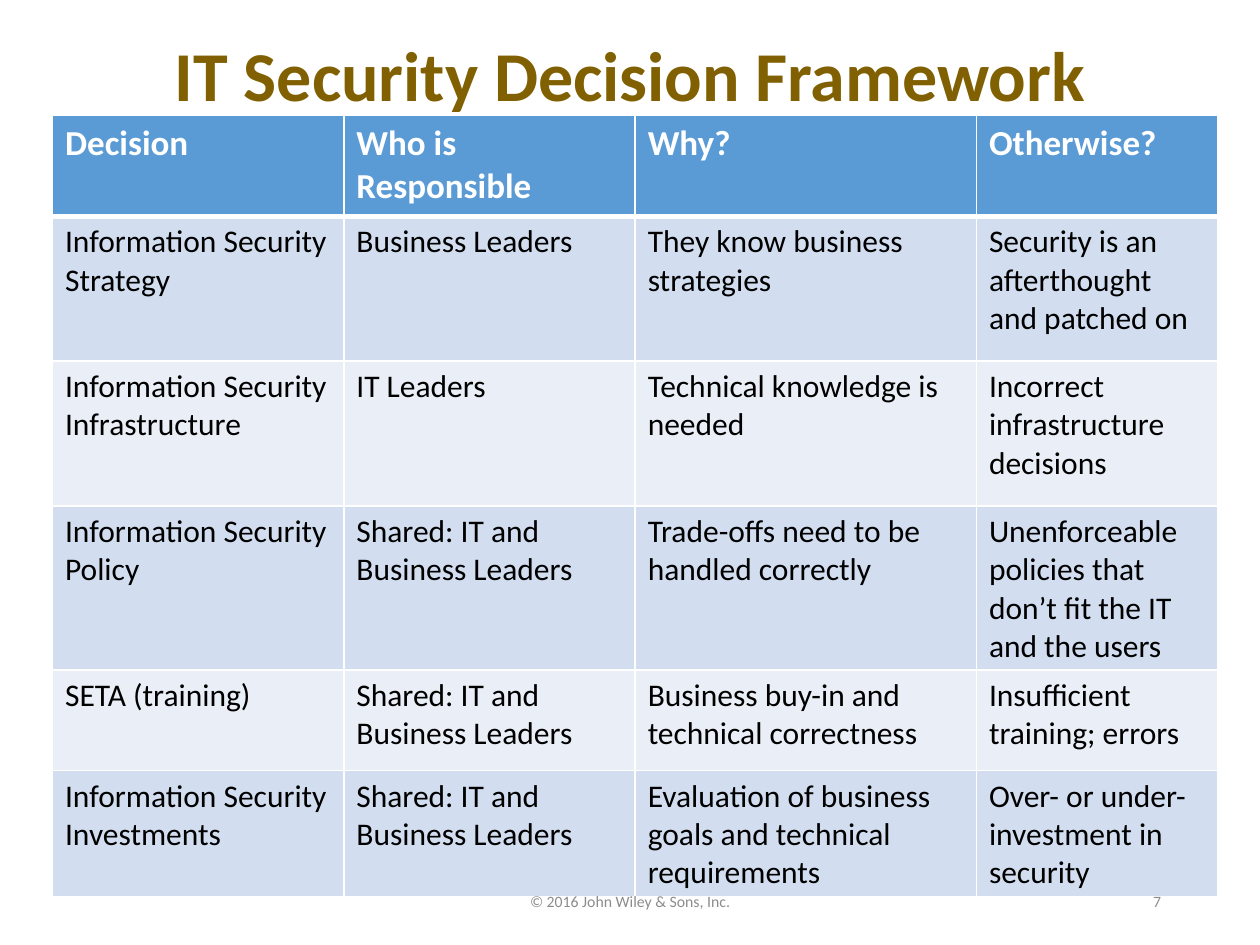
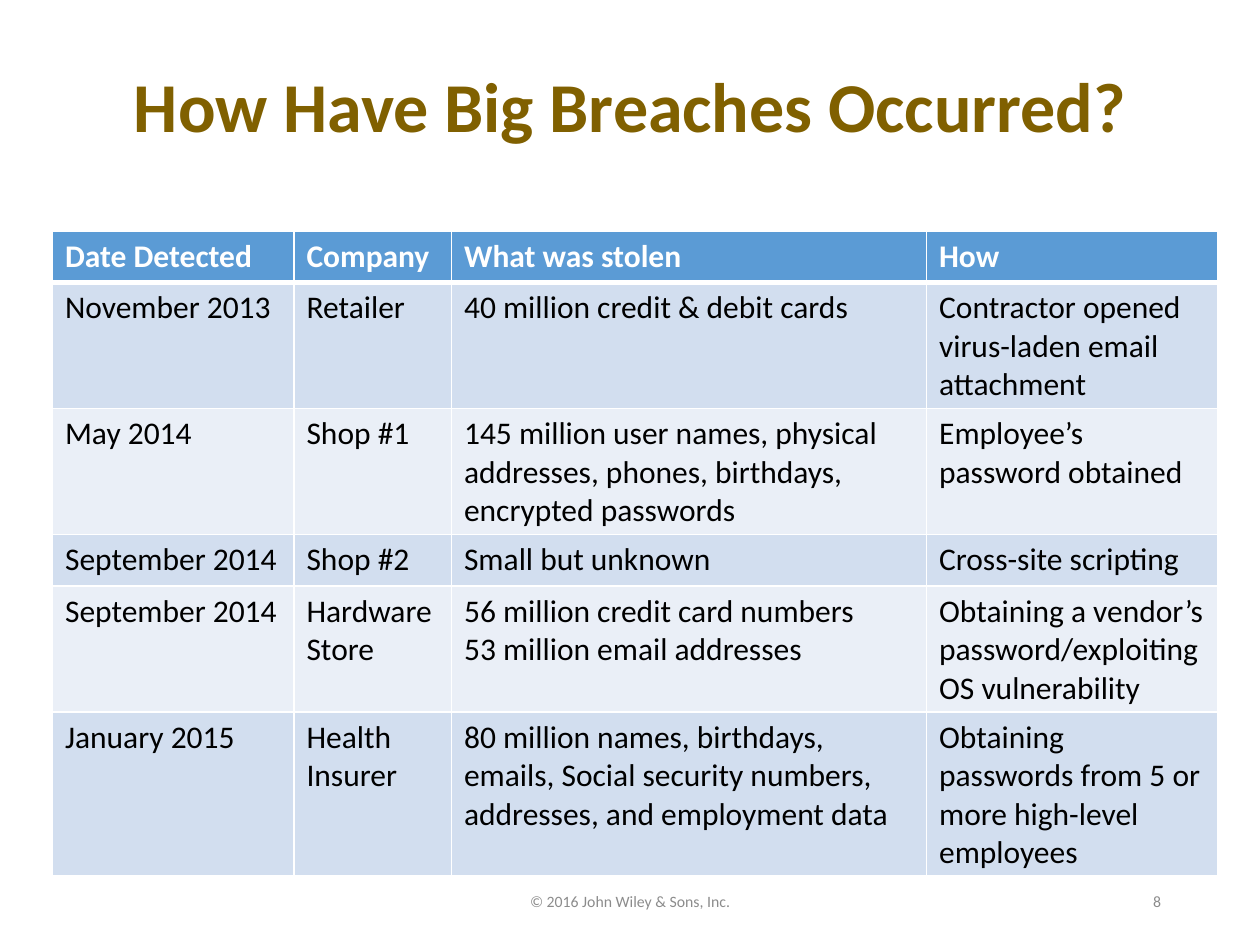
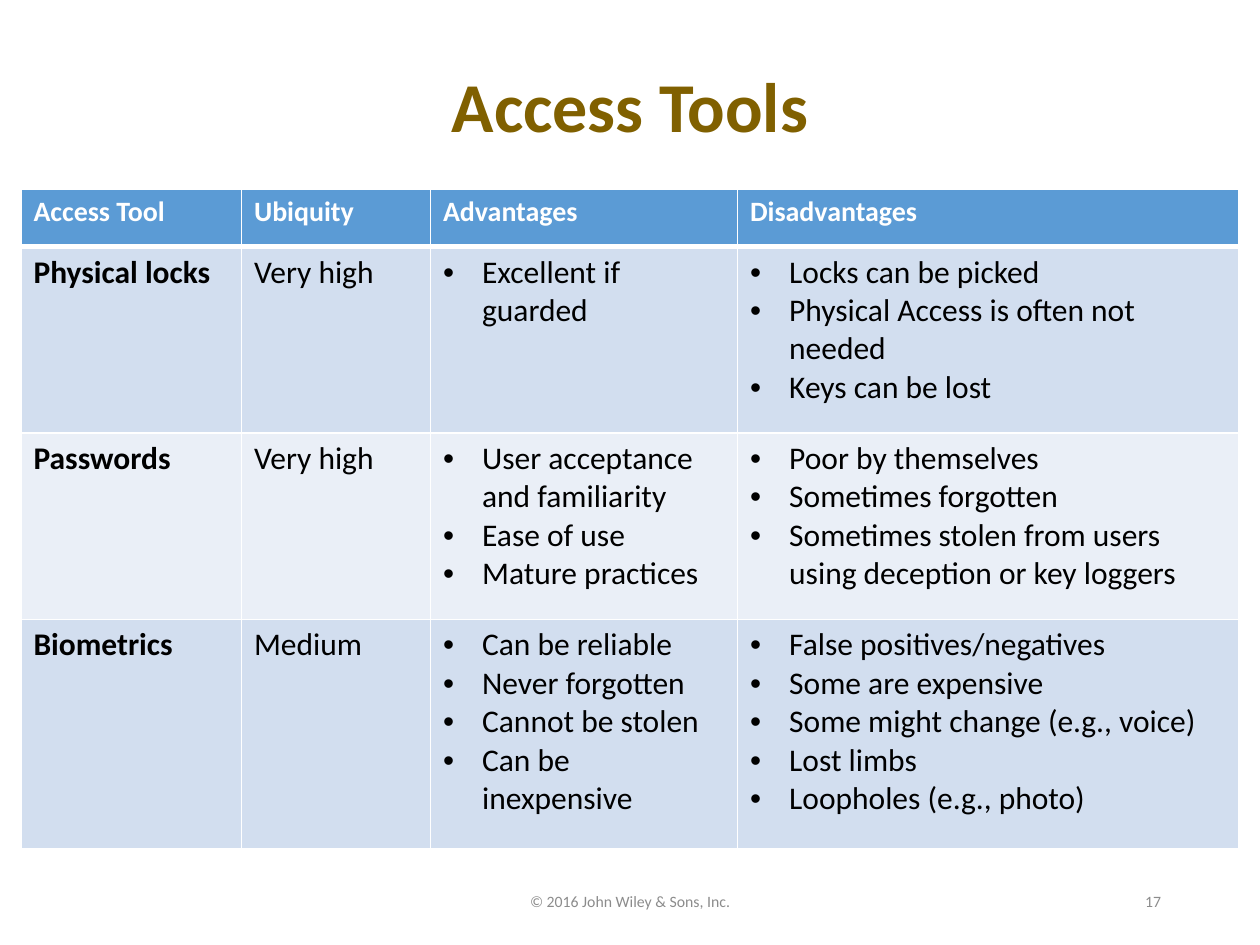
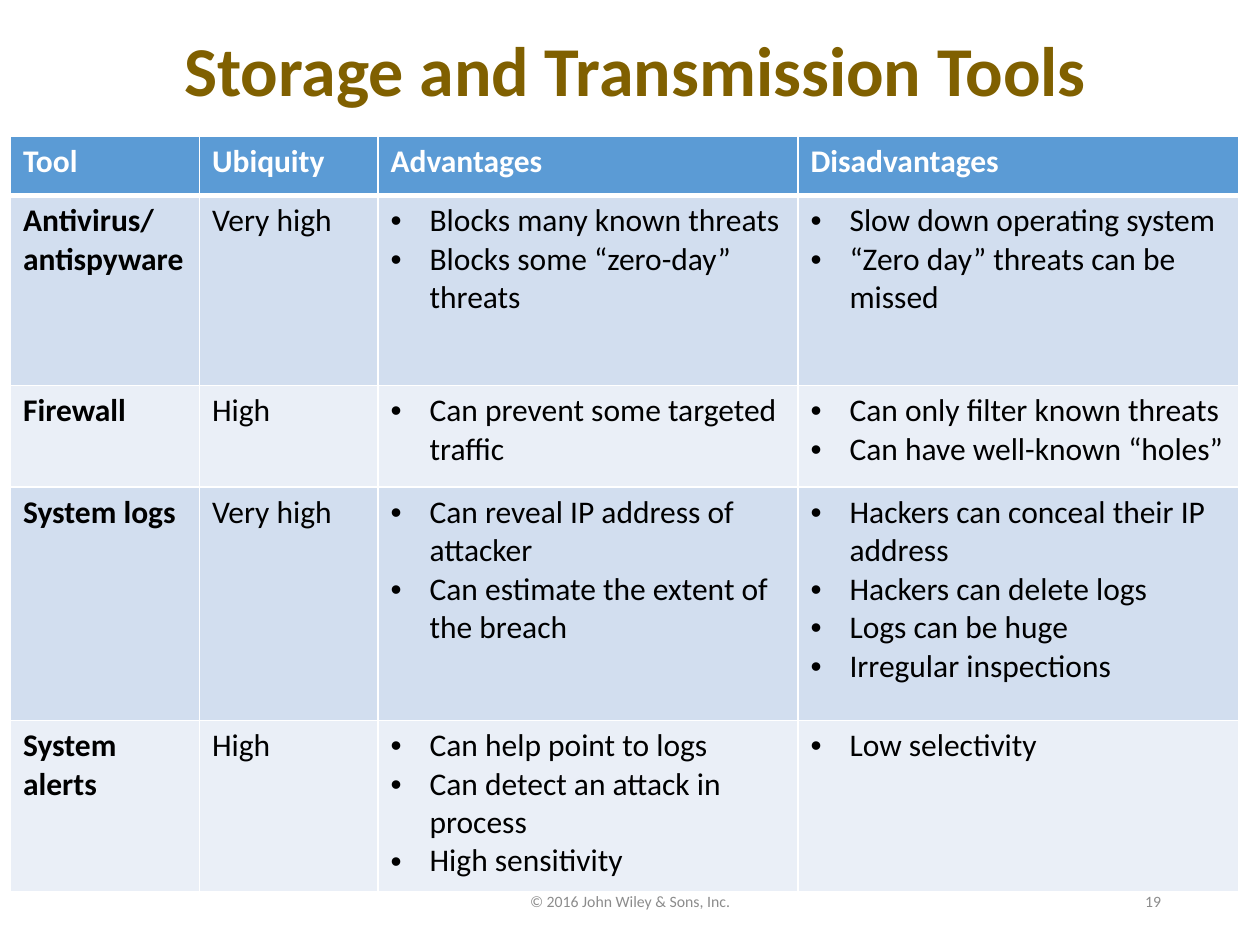
import lxml.etree
import pptx
import pptx.dml.color
import pptx.enum.text
import pptx.oxml.ns
import pptx.util

UNIT = pptx.util.Inches(1 / 12)
PAGE_COLUMNS, PAGE_ROWS = 120, 90
FONT = "Calibri"
TITLE_COLOUR = "806000"
FOOTER_COLOUR = "8C8C8C"
HEADER_FILL = "5B9BD5"
BAND_FILLS = ("D2DEEF", "EAEFF7")
WHITE, BLACK = "FFFFFF", "000000"
BODY_SIZE = 18
COPYRIGHT = "© 2016 John Wiley & Sons, Inc."
COPYRIGHT_BOX = (39.75, 83.4, 40.5, 4.8)
NUMBER_BOX = (84.75, 83.4, 27, 4.8)
ALIGN = pptx.enum.text.PP_ALIGN


def colour(value):
    return pptx.dml.color.RGBColor.from_string(value)


def grid(units):
    return round(units * UNIT)


def add_span(para, text, size, hue, bold=False):
    span = para.add_run()
    span.text = text
    span.font.name = FONT
    span.font.size = pptx.util.Pt(size)
    span.font.bold = bold
    span.font.color.rgb = colour(hue)


def add_text(page, box, text, size, hue, align, bold=False, spacing=1.0):
    frame = page.shapes.add_textbox(*map(grid, box)).text_frame
    frame.word_wrap = True
    frame.vertical_anchor = pptx.enum.text.MSO_ANCHOR.MIDDLE
    para = frame.paragraphs[0]
    para.alignment = align
    para.line_spacing = spacing
    add_span(para, text, size, hue, bold)


def add_child(parent, tag, **attributes):
    child = lxml.etree.SubElement(parent, pptx.oxml.ns.qn(tag))
    for name, value in attributes.items():
        child.set(name, str(value))
    return child


def set_bullet(para):
    properties = para._p.get_or_add_pPr()
    indent = pptx.util.Inches(0.31)
    properties.set("marL", str(indent))
    properties.set("indent", str(-indent))
    add_child(properties, "a:buFont", typeface="Arial")
    add_child(properties, "a:buChar", char="•")


def set_borders(cell, top, bottom):
    properties = cell._tc.get_or_add_tcPr()
    for side, width in (("L", 1), ("R", 1), ("T", top), ("B", bottom)):
        line = add_child(properties, "a:ln" + side, w=pptx.util.Pt(width))
        add_child(add_child(line, "a:solidFill"), "a:srgbClr", val=WHITE)


def fill_cell(cell, content, size, hue, bold, bulleted):
    lines = [content] if isinstance(content, str) else content
    frame = cell.text_frame
    for index, line in enumerate(lines):
        para = frame.add_paragraph() if index else frame.paragraphs[0]
        if bulleted:
            set_bullet(para)
        add_span(para, line, size, hue, bold)


def add_grid_table(page, corner, widths, heights, rows, header_size, tools):
    box = (*corner, sum(widths), sum(heights))
    table = page.shapes.add_table(len(rows), len(widths), *map(grid, box)).table
    table.horz_banding = False
    for column, width in zip(table.columns, widths):
        column.width = grid(width)
    for row_index, (row, height) in enumerate(zip(rows, heights)):
        table.rows[row_index].height = grid(height)
        header = row_index == 0
        fill = HEADER_FILL if header else BAND_FILLS[(row_index - 1) % 2]
        for column_index, content in enumerate(row):
            cell = table.cell(row_index, column_index)
            set_borders(cell, 3 if row_index == 1 else 1, 3 if header else 1)
            cell.fill.solid()
            cell.fill.fore_color.rgb = colour(fill)
            fill_cell(
                cell, content,
                header_size if header else BODY_SIZE,
                WHITE if header else BLACK,
                header or (tools and column_index == 0),
                tools and not header and column_index >= 2,
            )


def add_table_page(deck, number, title, title_box, corner, widths, heights, rows,
                   header_size=BODY_SIZE, tools=False):
    page = deck.slides.add_slide(deck.slide_layouts[6])
    add_text(page, title_box, title, 40, TITLE_COLOUR, ALIGN.CENTER, True, 0.9)
    add_grid_table(page, corner, widths, heights, rows, header_size, tools)
    add_text(page, COPYRIGHT_BOX, COPYRIGHT, 9, FOOTER_COLOUR, ALIGN.CENTER)
    add_text(page, NUMBER_BOX, str(number), 9, FOOTER_COLOUR, ALIGN.RIGHT)


SHARED = "Shared: IT and Business Leaders"

DECISIONS = [
    ("Decision", "Who is Responsible", "Why?", "Otherwise?"),
    ("Information Security Strategy", "Business Leaders",
     "They know business strategies", "Security is an afterthought and patched on"),
    ("Information Security Infrastructure", "IT Leaders",
     "Technical knowledge is needed", "Incorrect infrastructure decisions"),
    ("Information Security Policy", SHARED, "Trade-offs need to be handled correctly",
     "Unenforceable policies that don’t fit the IT and the users"),
    ("SETA (training)", SHARED, "Business buy-in and technical correctness",
     "Insufficient training; errors"),
    ("Information Security Investments", SHARED,
     "Evaluation of business goals and technical requirements",
     "Over- or under-investment in security"),
]

BREACHES = [
    ("Date Detected", "Company", "What was stolen", "How"),
    ("November 2013", "Retailer", "40 million credit & debit cards",
     "Contractor opened virus-laden email attachment"),
    ("May 2014", "Shop #1",
     "145 million user names, physical addresses, phones, birthdays, encrypted passwords",
     "Employee’s password obtained"),
    ("September 2014", "Shop #2", "Small but unknown", "Cross-site scripting"),
    ("September 2014", "Hardware Store",
     ["56 million credit card numbers", "53 million email addresses"],
     "Obtaining a vendor’s password/exploiting OS vulnerability"),
    ("January 2015", "Health Insurer",
     "80 million names, birthdays, emails, Social security numbers, addresses, "
     "and employment data",
     "Obtaining passwords from 5 or more high-level employees"),
]

ACCESS_TOOLS = [
    ("Access Tool", "Ubiquity", "Advantages", "Disadvantages"),
    ("Physical locks", "Very high", ["Excellent if guarded"],
     ["Locks can be picked", "Physical Access is often not needed", "Keys can be lost"]),
    ("Passwords", "Very high",
     ["User acceptance and familiarity", "Ease of use", "Mature practices"],
     ["Poor by themselves", "Sometimes forgotten",
      "Sometimes stolen from users using deception or key loggers"]),
    ("Biometrics", "Medium",
     ["Can be reliable", "Never forgotten", "Cannot be stolen", "Can be inexpensive"],
     ["False positives/negatives", "Some are expensive",
      "Some might change (e.g., voice)", "Lost limbs", "Loopholes (e.g., photo)"]),
]

STORAGE_TOOLS = [
    ("Tool", "Ubiquity", "Advantages", "Disadvantages"),
    ("Antivirus/ antispyware", "Very high",
     ["Blocks many known threats", "Blocks some “zero-day” threats"],
     ["Slow down operating system", "“Zero day” threats can be missed"]),
    ("Firewall", "High", ["Can prevent some targeted traffic"],
     ["Can only filter known threats", "Can have well-known “holes”"]),
    ("System logs", "Very high",
     ["Can reveal IP address of attacker", "Can estimate the extent of the breach"],
     ["Hackers can conceal their IP address", "Hackers can delete logs",
      "Logs can be huge", "Irregular inspections"]),
    ("System alerts", "High",
     ["Can help point to logs", "Can detect an attack in process", "High sensitivity"],
     ["Low selectivity"]),
]


def main():
    deck = pptx.Presentation()
    deck.slide_width = grid(PAGE_COLUMNS)
    deck.slide_height = grid(PAGE_ROWS)
    add_table_page(
        deck, 7, "IT Security Decision Framework", (9, 3, 102, 9.1), (5, 11),
        (27.75, 27.75, 32.5, 23), (9.6, 13.8, 13.8, 9.6, 9.6, 9.6), DECISIONS,
        header_size=20)
    add_table_page(
        deck, 8, "How Have Big Breaches Occurred?", (5, 0, 110, 21), (5, 22),
        (23, 15, 45.25, 27.75), [4.9] * len(BREACHES), BREACHES)
    add_table_page(
        deck, 17, "Access Tools", (9, 3, 102, 15), (2, 18),
        (21, 18, 29.25, 47.75), (5.5, 17.75, 17.75, 21.85), ACCESS_TOOLS,
        header_size=16, tools=True)
    add_table_page(
        deck, 19, "Storage and Transmission Tools", (9.5, 1, 102, 12), (1, 13),
        (18, 17, 40, 42), (5.6, 18.1, 9.7, 22.2, 16.3), STORAGE_TOOLS, tools=True)
    deck.save("out.pptx")


if __name__ == "__main__":
    main()
